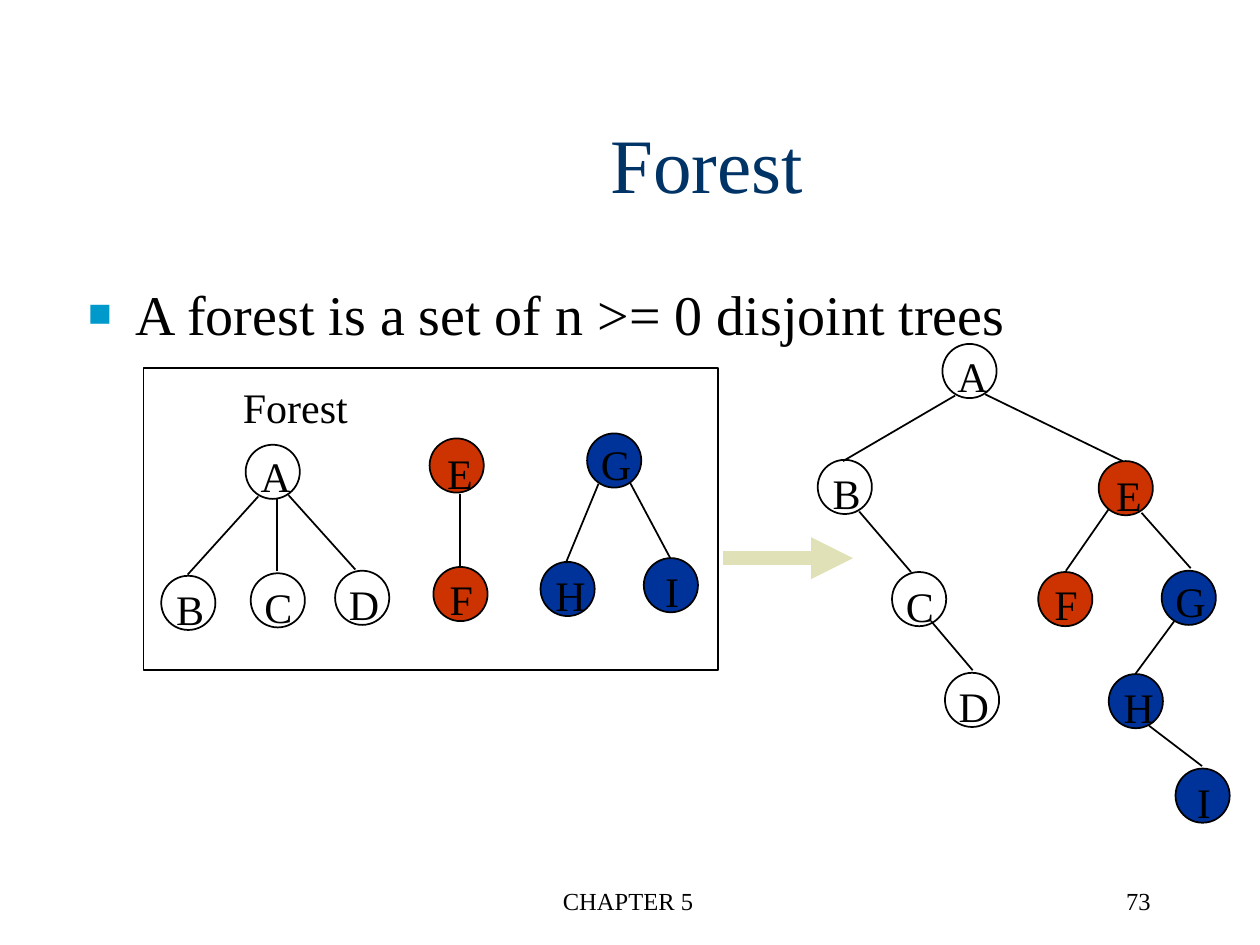
from lxml.etree import SubElement
from pptx import Presentation
from pptx.dml.color import RGBColor
from pptx.enum.shapes import MSO_CONNECTOR, MSO_SHAPE
from pptx.enum.text import MSO_ANCHOR, MSO_AUTO_SIZE, PP_ALIGN
from pptx.oxml.ns import qn
from pptx.util import Pt

PX = 9144  # 100 px to the inch
FONT = "Times New Roman"
BLACK = RGBColor(0x00, 0x00, 0x00)
NAVY = RGBColor(0x00, 0x33, 0x66)
RED = RGBColor(0xCC, 0x33, 0x00)
BLUE = RGBColor(0x00, 0x33, 0x99)
SAND = RGBColor(0xE1, 0xE1, 0xB7)
NODE = 43

deck = Presentation()
deck.slide_width, deck.slide_height = 1000 * PX, 750 * PX
slide = deck.slides.add_slide(deck.slide_layouts[5])
shapes = slide.shapes


def write(box, text, size, color=BLACK, align=PP_ALIGN.LEFT, wrap=True):
    frame = box.text_frame
    frame.word_wrap = wrap
    frame.auto_size = MSO_AUTO_SIZE.NONE if wrap else MSO_AUTO_SIZE.SHAPE_TO_FIT_TEXT
    para = frame.paragraphs[0]
    para.alignment = align
    run = para.add_run()
    run.text = text
    run.font.name, run.font.size = FONT, Pt(size)
    run.font.color.rgb = color
    return para


def link(x1, y1, x2, y2, color=BLACK, width=1):
    line = shapes.add_connector(
        MSO_CONNECTOR.STRAIGHT, x1 * PX, y1 * PX, x2 * PX, y2 * PX)
    line.line.color.rgb = color
    line.line.width = Pt(width)
    SubElement(line._element.spPr, qn("a:effectLst"))
    return line


# Title
title = shapes.title
title.left, title.top, title.width, title.height = 60 * PX, 67 * PX, 1002 * PX, 125 * PX
title.text_frame.vertical_anchor = MSO_ANCHOR.MIDDLE
write(title, "Forest", 44, NAVY, PP_ALIGN.CENTER)

# Definition with a square bullet
body = shapes.add_textbox(60 * PX, 217 * PX, 1002 * PX, 450 * PX)
para = write(body, "A forest is a set of n >= 0 disjoint trees", 32)
props = para._p.get_or_add_pPr()
props.set("marL", str(38 * PX))
props.set("indent", str(-38 * PX))
SubElement(SubElement(props, qn("a:buClr")), qn("a:srgbClr"), val="0099CC")
SubElement(props, qn("a:buSzPct"), val="70000")
SubElement(props, qn("a:buFont"), typeface=FONT)
SubElement(props, qn("a:buChar"), char="■")

# Frame round the forest
frame = shapes.add_shape(MSO_SHAPE.RECTANGLE, 114 * PX, 292 * PX, 456 * PX, 240 * PX)
frame.shadow.inherit = False
frame.fill.background()
frame.line.color.rgb = BLACK
frame.line.width = Pt(1)
label = shapes.add_textbox(183 * PX, 298 * PX, 104 * PX, 50 * PX)
write(label, "Forest", 24, wrap=False)

# Nodes: fill, then left and top in the forest and in the binary tree
nodes = {
    "A": (None, (195, 353), (748, 273)),
    "B": (None, (128, 457), (649, 365)),
    "C": (None, (199, 455), (708, 454)),
    "D": (None, (266, 453), (750, 534)),
    "E": (RED, (341, 348), (872, 366)),
    "F": (RED, (344, 450), (824, 454)),
    "G": (BLUE, (466, 344), (922, 453)),
    "H": (BLUE, (429, 446), (880, 535)),
    "I": (BLUE, (511, 443), (933, 610)),
}
# Letters: shift from the node, and width
marks = {
    "A": (2, 0, 44), "B": (2, 1, 42), "C": (1, 2, 42),
    "D": (1, 1, 44), "E": (4, 2, 41), "F": (3, 0, 39),
    "G": (1, -1, 44), "H": (2, 1, 44), "I": (7, 1, 31),
}
for name, (fill, *spots) in nodes.items():
    dx, dy, wide = marks[name]
    for x, y in spots:
        disc = shapes.add_shape(MSO_SHAPE.OVAL, x * PX, y * PX, NODE * PX, NODE * PX)
        disc.shadow.inherit = False
        if fill is None:
            disc.fill.background()
        else:
            disc.fill.solid()
            disc.fill.fore_color.rgb = fill
        disc.line.color.rgb = BLACK
        disc.line.width = Pt(1)
        box = shapes.add_textbox((x + dx) * PX, (y + dy) * PX, wide * PX, 50 * PX)
        write(box, name, 24, wrap=False)

# Edges of the forest, then of the binary tree
edges = [
    (205, 394, 149, 456), (220, 396, 220, 453), (229, 393, 282, 452),
    (365, 392, 365, 451), (475, 384, 449, 447), (500, 383, 532, 443),
    (758, 314, 669, 366), (782, 313, 891, 366), (682, 406, 723, 454),
    (739, 493, 772, 532), (880, 404, 846, 453), (906, 407, 945, 451),
    (932, 493, 901, 535), (912, 576, 954, 608),
]
for edge in edges:
    link(*edge)

# Arrow from the forest to the binary tree
arrow = link(574, 443, 677, 443, SAND, 8)
SubElement(arrow.line._get_or_add_ln(), qn("a:tailEnd"), type="triangle")

# Footer and page number
for x, wide, text, align in [(340, 317, "CHAPTER 5", PP_ALIGN.CENTER),
                             (715, 208, "73", PP_ALIGN.RIGHT)]:
    foot = shapes.add_textbox(x * PX, 698 * PX, wide * PX, 50 * PX)
    write(foot, text, 14, align=align)

deck.save("out.pptx")
